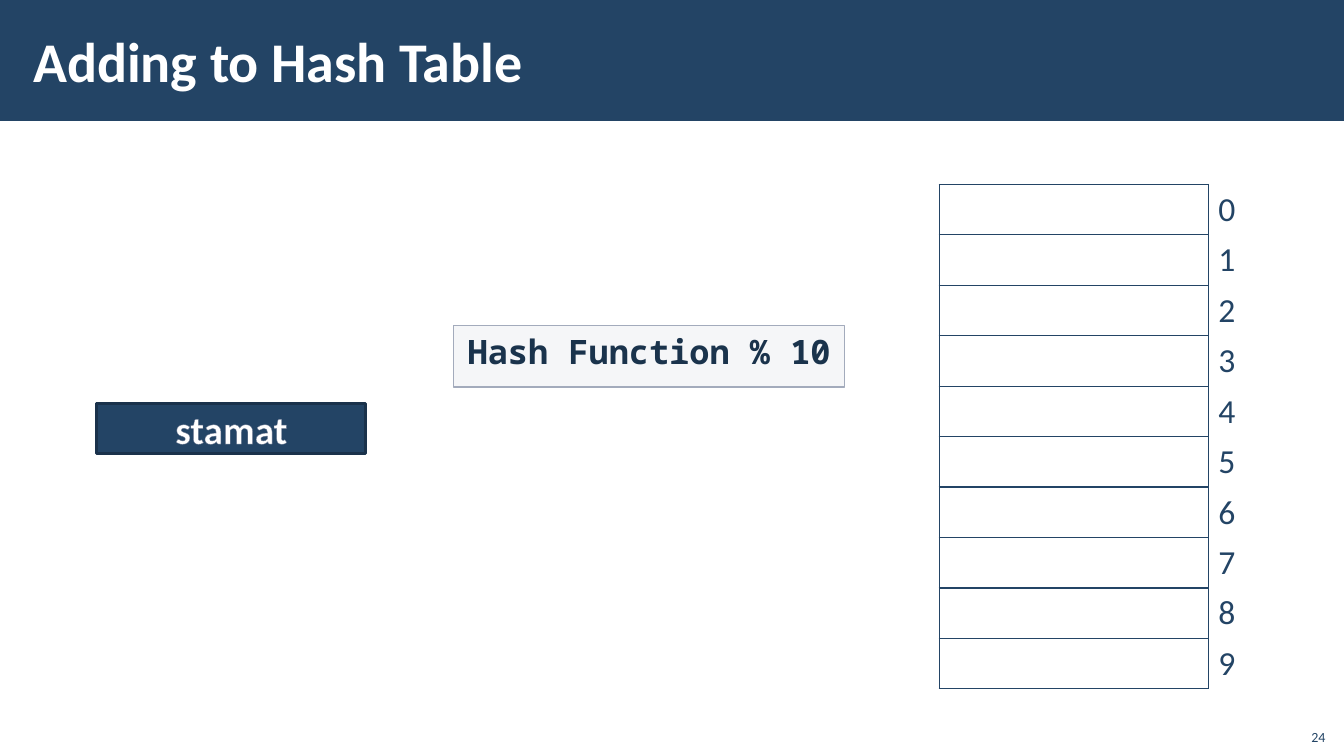
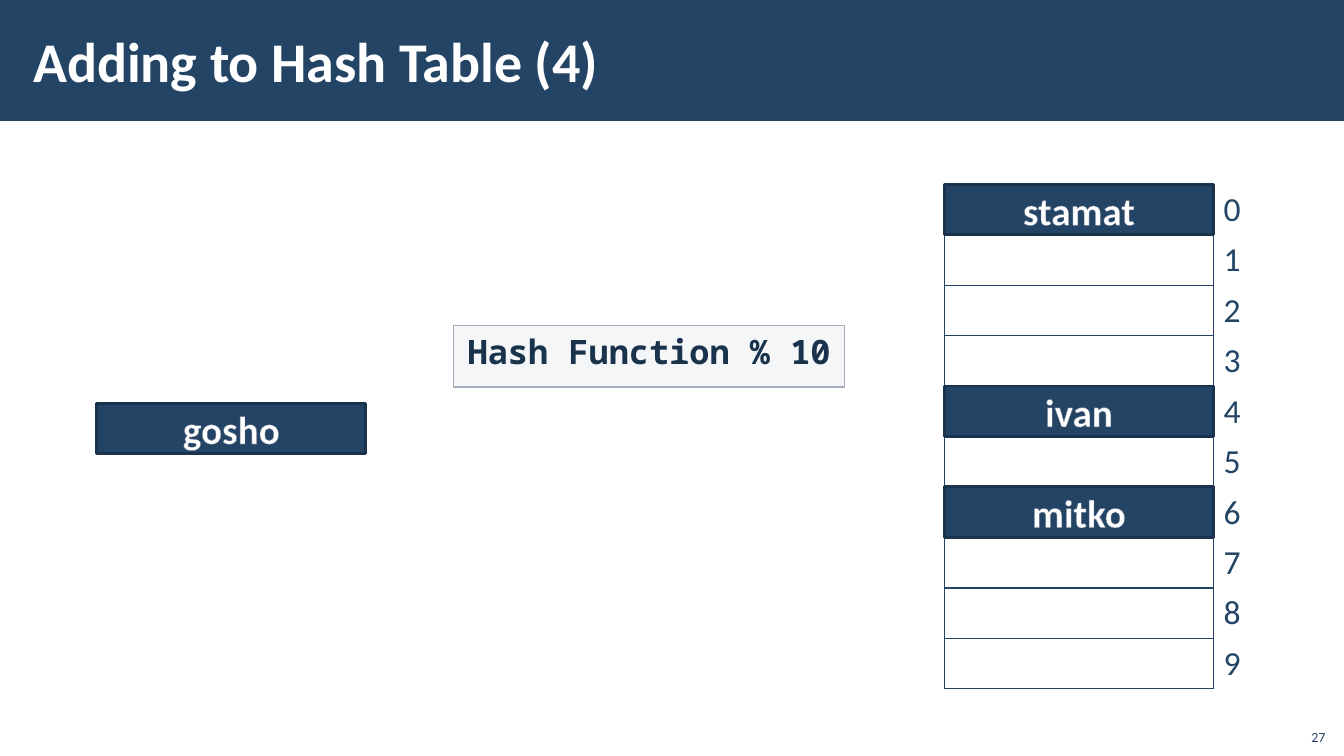
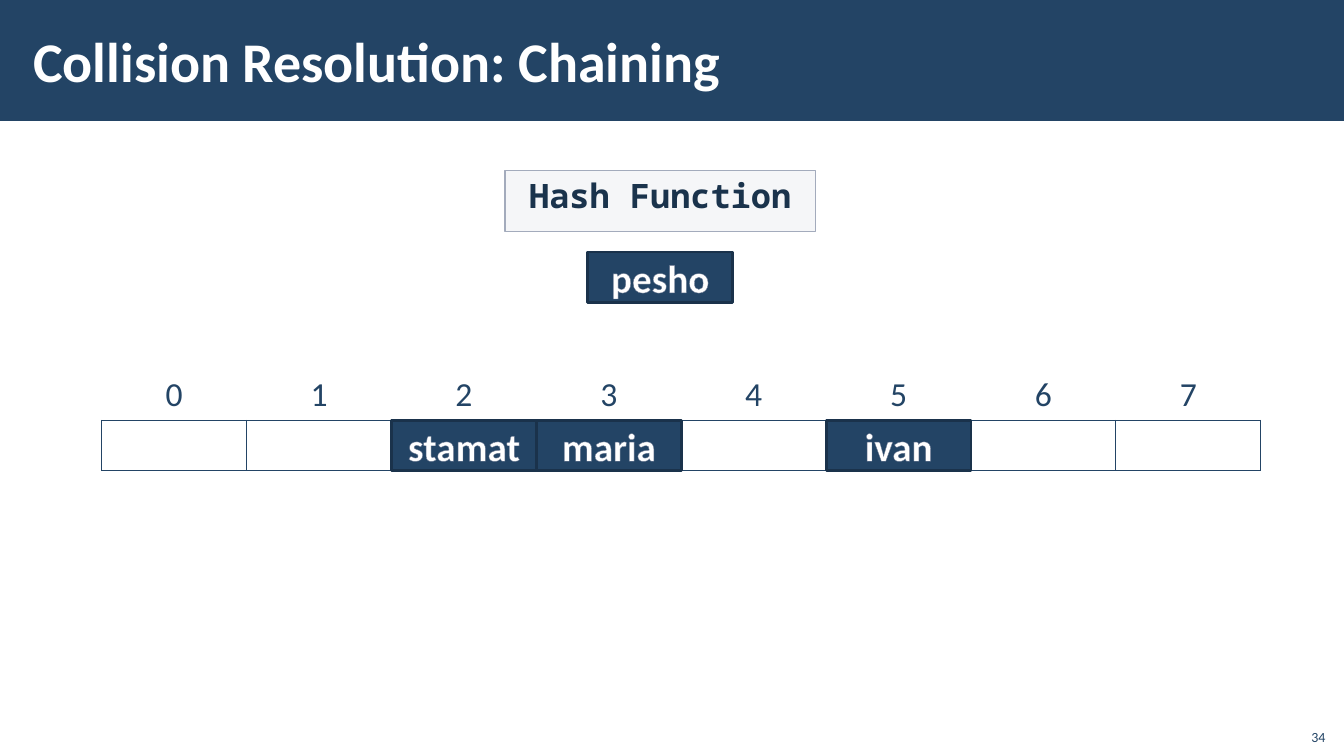
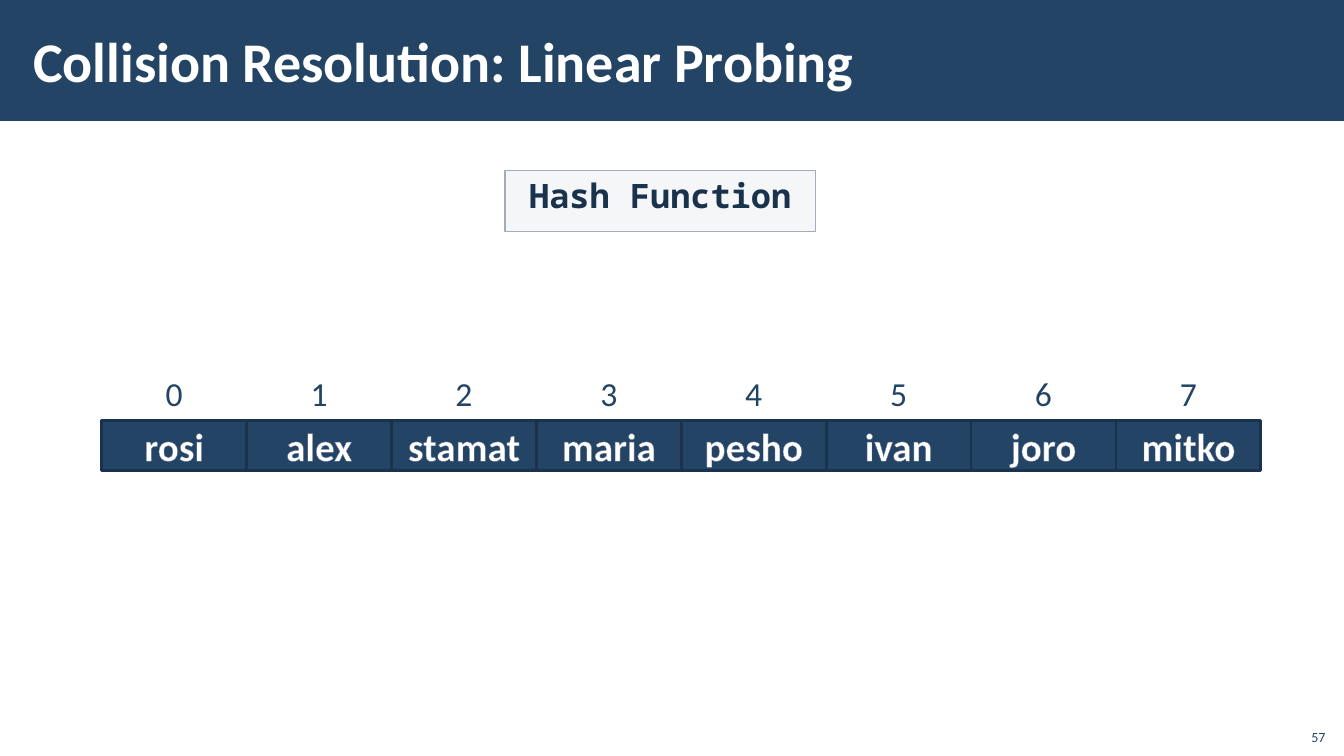
from dataclasses import dataclass

from pptx import Presentation
from pptx.dml.color import RGBColor
from pptx.enum.shapes import MSO_SHAPE as Preset
from pptx.enum.text import MSO_ANCHOR as Anchor, MSO_AUTO_SIZE as AutoSize, PP_ALIGN as Align
from pptx.oxml import parse_xml
from pptx.oxml.ns import nsdecls, qn
from pptx.util import Inches, Pt

GRID = 0.5
COLUMNS, ROWS = 26.67, 15
NAVY, DEEP_NAVY, INK, WHITE = "234465", "1A324B", "1A334C", "FFFFFF"
MIST, STEEL, SLATE = "C2C7D2", "A3ABBC", "67748E"
NO_TABLE_STYLE = "{2D5ABB26-0587-4C30-8999-92F81FD0307C}"

TITLE_FONT = {"name": "Calibri", "size": Pt(40), "bold": True}
TOKEN_FONT = {"name": "Calibri", "size": Pt(28), "bold": True}
CODE_FONT = {"name": "Noto Sans Mono", "size": Pt(24), "bold": True}
INDEX_FONT = {"name": "Calibri", "size": Pt(24)}
NUMBER_FONT = {"name": "Calibri", "size": Pt(10)}


@dataclass
class Box:
    """A rectangle measured in grid columns and rows."""
    left: float
    top: float
    width: float
    height: float

    def lengths(self):
        """Return the four measures as slide lengths."""
        return [Inches(value * GRID) for value in (self.left, self.top, self.width, self.height)]

    def slot(self, column, row, columns, rows):
        """Return one cell of this box when it is split evenly."""
        width, height = self.width / columns, self.height / rows
        return Box(self.left + column * width, self.top + row * height, width, height)


TITLE_BOX = Box(0.42, 0.22, 21.26, 1.94)
BAND_BOX = Box(0, 0, COLUMNS, 2.4)
NUMBER_BOX = Box(25.7, 14.24, 0.8, 0.64)
BUCKET_ROW = Box(2.02, 7.34, 23, 2)
HASH_TOP = Box(10.02, 3.38, 6.16, 1.22)
HASH_MIDDLE = Box(9, 6.46, 7.76, 1.22)
WAITING_SIDE = Box(1.92, 8, 5.34, 1)
WAITING_TOP = Box(11.66, 5, 2.88, 1)
INDEX_WIDTH = 1.12


def rgb(color):
    """Turn a hex string into a colour."""
    return RGBColor.from_string(color)


def apply(target, values):
    """Set each named attribute of the target."""
    for name, value in values.items():
        setattr(target, name, value)


def write(frame, text, font, color, align=Align.LEFT, anchor=Anchor.TOP):
    """Put one formatted line in a text frame and return its run."""
    frame.vertical_anchor = anchor
    para = frame.paragraphs[0]
    para.alignment = align
    span = para.add_run()
    span.text = text
    apply(span.font, font)
    span.font.color.rgb = rgb(color)
    return span


def add_panel(page, box, fill, line=None, weight=1, preset=Preset.RECTANGLE):
    """Draw a flat filled shape with an optional outline."""
    panel = page.shapes.add_shape(preset, *box.lengths())
    panel.shadow.inherit = False
    panel.fill.solid()
    panel.fill.fore_color.rgb = rgb(fill)
    if line:
        panel.line.color.rgb = rgb(line)
        panel.line.width = Pt(weight)
    else:
        panel.line.fill.background()
    return panel


def line_xml(tag, color, weight):
    """Return a solid line element with the given tag."""
    return parse_xml(
        f'<a:{tag} {nsdecls("a")} w="{Pt(weight)}"><a:solidFill>'
        f'<a:srgbClr val="{color}"/></a:solidFill></a:{tag}>')


def add_token(page, box, name):
    """Draw a key as a dark block with outlined white letters."""
    token = add_panel(page, box, NAVY, DEEP_NAVY, 2, Preset.FLOWCHART_PROCESS)
    span = write(token.text_frame, name, TOKEN_FONT, WHITE, Align.CENTER, Anchor.MIDDLE)
    span._r.get_or_add_rPr().insert(0, line_xml("ln", SLATE, 0.8))


def add_hash_label(page, box, text):
    """Draw the pale code label of the hash function."""
    label = add_panel(page, box, MIST, STEEL)
    tint = next(label.element.spPr.iter(qn("a:srgbClr")))
    tint.append(parse_xml(f'<a:alpha {nsdecls("a")} val="15000"/>'))
    write(label.text_frame, text, CODE_FONT, INK, Align.CENTER)


def add_grid(page, box, columns, rows):
    """Add an unstyled table without fills."""
    frame = page.shapes.add_table(rows, columns, *box.lengths())
    next(frame.element.iter(qn("a:tableStyleId"))).text = NO_TABLE_STYLE
    table = frame.table
    apply(table, {"first_row": False, "horz_banding": False})
    for cell in table.iter_cells():
        cell.fill.background()
    return table


def set_borders(cell, sides):
    """Draw navy lines on the sides named by L, R, T and B."""
    properties = cell._tc.get_or_add_tcPr()
    for position, side in enumerate(sides):
        properties.insert(position, line_xml(f"ln{side}", NAVY, 1))


def write_index(cell, index, align, anchor):
    """Write a bucket number in a table cell."""
    write(cell.text_frame, str(index), INDEX_FONT, NAVY, align)
    cell.vertical_anchor = anchor


def add_bucket_column(page, box, keys, count=10):
    """Draw buckets downwards with numbers on the right, and the stored keys."""
    whole = Box(box.left, box.top, box.width + INDEX_WIDTH, box.height)
    table = add_grid(page, whole, 2, count)
    for column, width in zip(table.columns, (box.width, INDEX_WIDTH)):
        column.width = Inches(width * GRID)
    for index in range(count):
        set_borders(table.cell(index, 0), "LRTB")
        set_borders(table.cell(index, 1), "L")
        write_index(table.cell(index, 1), index, Align.LEFT, Anchor.TOP)
    for index, name in keys.items():
        add_token(page, box.slot(0, index, 1, count), name)


def add_bucket_row(page, box, keys, count=8):
    """Draw buckets side by side with numbers above, and the stored keys."""
    table = add_grid(page, box, count, 2)
    for index in range(count):
        write_index(table.cell(0, index), index, Align.CENTER, Anchor.MIDDLE)
        set_borders(table.cell(0, index), "B")
        set_borders(table.cell(1, index), "LRTB")
    for index, name in keys.items():
        add_token(page, box.slot(index, 1, count, 2), name)


def add_page(deck, title, number):
    """Add a slide with its title and number."""
    page = deck.slides.add_slide(deck.slide_layouts[5])
    heading = page.shapes.title
    apply(heading, dict(zip(("left", "top", "width", "height"), TITLE_BOX.lengths())))
    apply(heading.text_frame, {
        "auto_size": AutoSize.NONE, "word_wrap": True,
        "margin_left": Inches(0.12), "margin_right": Inches(0.12),
        "margin_top": Inches(0.04), "margin_bottom": Inches(0.04)})
    write(heading.text_frame, title, TITLE_FONT, WHITE, anchor=Anchor.MIDDLE)
    corner = page.shapes.add_textbox(*NUMBER_BOX.lengths()).text_frame
    corner.word_wrap = True
    write(corner, str(number), NUMBER_FONT, NAVY, Align.RIGHT, Anchor.BOTTOM)
    return page


def add_column_page(deck, title, number, left, keys, waiting):
    """Build a slide with a vertical hash table and a key waiting beside it."""
    page = add_page(deck, title, number)
    add_bucket_column(page, Box(left, 3.66, 5.34, 10), keys)
    add_token(page, WAITING_SIDE, waiting)
    add_hash_label(page, HASH_MIDDLE, "Hash Function % 10")
    return page


def add_row_page(deck, title, number, keys, waiting=None):
    """Build a slide with a horizontal hash table below the hash function."""
    page = add_page(deck, title, number)
    add_bucket_row(page, BUCKET_ROW, keys)
    if waiting:
        add_token(page, WAITING_TOP, waiting)
    add_hash_label(page, HASH_TOP, "Hash Function")
    return page


def move_band_to_layout(page):
    """Place the title band on the layout that all slides share."""
    band = add_panel(page, BAND_BOX, NAVY)
    page.slide_layout.placeholders[0].element.addprevious(band.element)


def main():
    """Build the deck and save it."""
    deck = Presentation()
    apply(deck, {"slide_width": Inches(COLUMNS * GRID), "slide_height": Inches(ROWS * GRID)})
    first = add_column_page(deck, "Adding to Hash Table", 24, 18.64, {}, "stamat")
    move_band_to_layout(first)
    add_column_page(deck, "Adding to Hash Table (4)", 27, 18.74,
                    {0: "stamat", 4: "ivan", 6: "mitko"}, "gosho")
    add_row_page(deck, "Collision Resolution: Chaining", 34,
                 {2: "stamat", 3: "maria", 5: "ivan"}, "pesho")
    names = ["rosi", "alex", "stamat", "maria", "pesho", "ivan", "joro", "mitko"]
    add_row_page(deck, "Collision Resolution: Linear Probing", 57, dict(enumerate(names)))
    deck.save("out.pptx")


if __name__ == "__main__":
    main()
